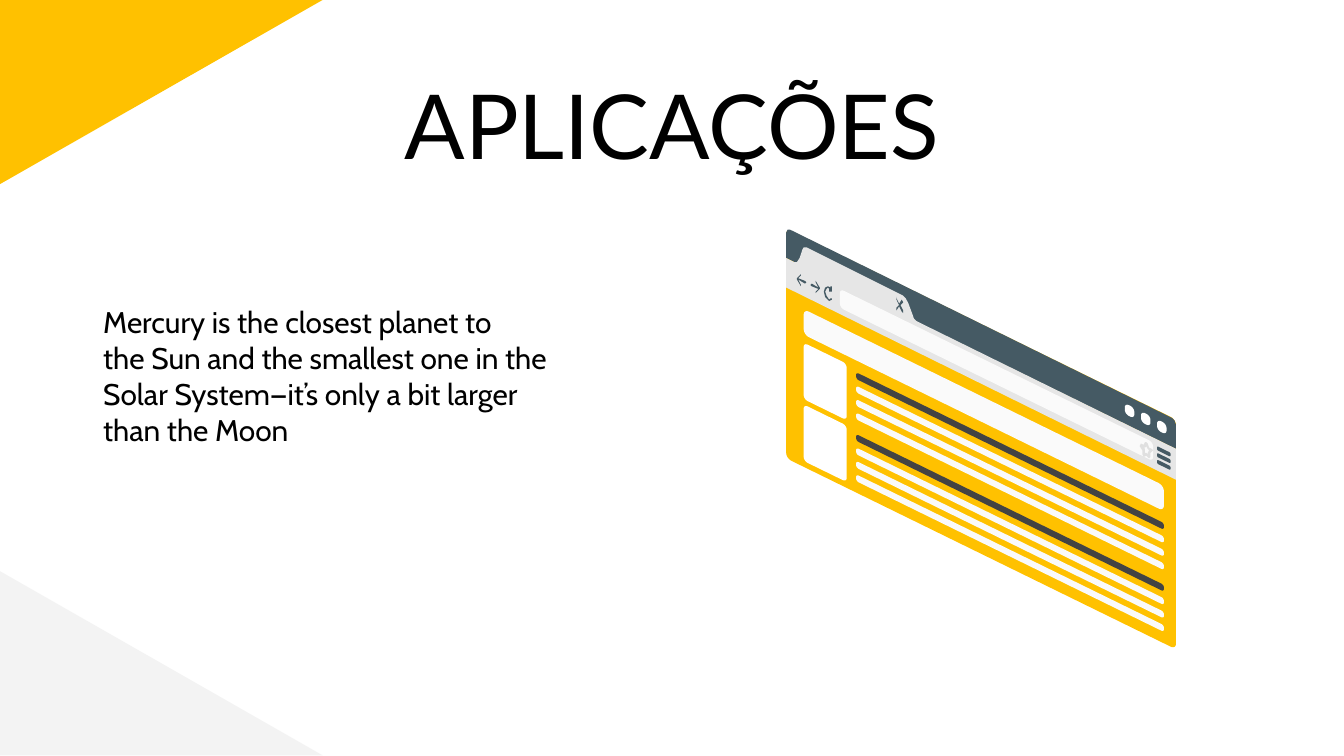
import math

from pptx import Presentation
from pptx.dml.color import RGBColor
from pptx.enum.shapes import MSO_SHAPE
from pptx.enum.text import MSO_ANCHOR, PP_ALIGN
from pptx.util import Inches, Pt

RIGHT_TRIANGLE = MSO_SHAPE.RIGHT_TRIANGLE
LEFT, CENTER = PP_ALIGN.LEFT, PP_ALIGN.CENTER
TOP = MSO_ANCHOR.TOP

YELLOW, SLATE, CHARCOAL = "FFC100", "455A64", "434343"
WHITE, OFF_WHITE = "FFFFFF", "FAFAFA"
PALE_GRAY, TAB_GRAY, STAR_GRAY = "F3F3F3", "E6E6E6", "E0E0E0"
SLOPE = 0.49
ARC_STEPS = 6

TITLE_BAR = [
    (5.85, 1.92), (5.85, 1.73), (5.86, 1.71), (5.88, 1.71), (8.72, 3.11),
    (8.74, 3.13), (8.75, 3.16), (8.75, 3.34),
]
TAB_AND_TOOLBAR = [
    (5.85, 1.92), (5.91, 1.95), (5.93, 1.95), (5.95, 1.92), (5.97, 1.86),
    (5.98, 1.84), (6.0, 1.84), (6.72, 2.2), (6.74, 2.22), (6.76, 2.26),
    (6.79, 2.34), (6.8, 2.37), (6.82, 2.39), (8.75, 3.34), (8.75, 3.57),
    (5.85, 2.14),
]
BACK_ARROW = [
    (5.96, 2.04), (5.93, 2.07), (5.93, 2.08), (5.96, 2.13), (5.96, 2.12),
    (5.94, 2.08), (5.99, 2.11), (6.0, 2.1), (5.99, 2.09), (5.94, 2.07),
    (5.96, 2.05),
]
RELOAD = [
    (6.16, 2.13), (6.14, 2.14), (6.13, 2.17), (6.14, 2.21), (6.17, 2.24),
    (6.19, 2.23), (6.19, 2.22), (6.18, 2.22), (6.17, 2.23), (6.15, 2.2),
    (6.14, 2.17), (6.15, 2.15), (6.16, 2.14), (6.17, 2.15), (6.17, 2.17),
    (6.19, 2.17), (6.19, 2.13), (6.18, 2.13), (6.18, 2.14),
]
CLOSE_MARK = [
    (6.67, 2.21), (6.67, 2.23), (6.69, 2.27), (6.67, 2.29), (6.67, 2.31),
    (6.69, 2.28), (6.71, 2.32), (6.72, 2.33), (6.72, 2.31), (6.7, 2.27),
    (6.72, 2.25), (6.71, 2.23), (6.69, 2.26), (6.67, 2.22),
]
STAR = [
    (8.53, 3.29), (8.52, 3.29), (8.51, 3.31), (8.49, 3.3), (8.48, 3.32),
    (8.5, 3.35), (8.5, 3.38), (8.51, 3.4), (8.53, 3.39), (8.55, 3.41),
    (8.56, 3.4), (8.56, 3.37), (8.58, 3.35), (8.57, 3.34), (8.55, 3.33),
    (8.54, 3.3),
]
STAR_HOLE = [
    (8.53, 3.32), (8.54, 3.34), (8.55, 3.35), (8.54, 3.37), (8.54, 3.38),
    (8.53, 3.37), (8.52, 3.37), (8.52, 3.34), (8.51, 3.33), (8.52, 3.33),
]


def color(value):
    return RGBColor.from_string(value)


def paint(shape, fill):
    shape.shadow.inherit = False
    shape.fill.solid()
    shape.fill.fore_color.rgb = color(fill)
    shape.line.fill.background()


def add_corner(slide, top, fill, mirrored=False):
    shape = slide.shapes.add_shape(
        RIGHT_TRIANGLE, Inches(0), Inches(top), Inches(2.4), Inches(1.37))
    paint(shape, fill)
    if mirrored:
        shape.rotation = 180
        shape.element.spPr.xfrm.set("flipH", "1")


def add_text(slide, box, paragraphs, size=16, font="Cabin", align=LEFT):
    frame = slide.shapes.add_textbox(*map(Inches, box)).text_frame
    frame.word_wrap = True
    frame.vertical_anchor = TOP
    frame.margin_left = frame.margin_right = Inches(0.1)
    frame.margin_top = frame.margin_bottom = Inches(0.1)
    frame.text = "\n".join(paragraphs)
    for paragraph in frame.paragraphs:
        paragraph.alignment = align
        for run in paragraph.runs:
            run.font.size = Pt(size)
            run.font.name = font
            run.font.color.rgb = color("000000")


def add_outline(slide, fill, *contours):
    builder = None
    for contour in contours:
        points = [(Inches(x), Inches(y)) for x, y in contour]
        if builder is None:
            builder = slide.shapes.build_freeform(*points[0], scale=1.0)
        else:
            builder.move_to(*points[0])
        builder.add_line_segments(points[1:], close=True)
    paint(builder.convert_to_shape(), fill)


def add_panel(slide, left, top, width, height, radius, fill):
    centers = [
        (width - radius, height - radius), (radius, height - radius),
        (radius, radius), (width - radius, radius),
    ]
    points = []
    for quarter, (center_x, center_y) in enumerate(centers):
        for step in range(ARC_STEPS + 1):
            angle = (quarter + step / ARC_STEPS) * math.pi / 2
            x = center_x + radius * math.cos(angle)
            y = center_y + radius * math.sin(angle)
            points.append((left + x, top + y + SLOPE * x))
    add_outline(slide, fill, points)


def add_page(slide):
    add_panel(slide, 5.85, 1.7, 2.9, 1.71, 0.04, YELLOW)
    add_panel(slide, 5.98, 2.3, 2.68, 0.19, 0.04, OFF_WHITE)
    for offset in (0, 0.46):
        add_panel(slide, 5.98, 2.55 + offset, 0.32, 0.42, 0.03, WHITE)
        for row in range(4):
            fill = OFF_WHITE if row else CHARCOAL
            add_panel(slide, 6.37, 2.77 + offset + 0.1 * row,
                      2.29, 0.05, 0.02, fill)


def add_browser_bar(slide):
    add_outline(slide, SLATE, TITLE_BAR)
    add_outline(slide, TAB_GRAY, TAB_AND_TOOLBAR)
    for index in range(3):
        add_panel(slide, 8.37 + 0.12 * index, 3 + 0.06 * index,
                  0.07, 0.08, 0.03, WHITE)
    forward_arrow = [(12.03 - x, 4.22 - y) for x, y in BACK_ARROW]
    for icon in (BACK_ARROW, forward_arrow, RELOAD, CLOSE_MARK):
        add_outline(slide, SLATE, icon)
    add_panel(slide, 6.25, 2.15, 2.33, 0.14, 0.03, OFF_WHITE)
    add_outline(slide, STAR_GRAY, STAR, STAR_HOLE)
    for index in range(3):
        add_panel(slide, 8.61, 3.32 + 0.05 * index, 0.1, 0.03, 0.01, SLATE)


def main():
    presentation = Presentation()
    presentation.slide_width = Inches(10)
    presentation.slide_height = Inches(10) * 9 // 16
    slide = presentation.slides.add_slide(presentation.slide_layouts[6])
    add_corner(slide, 0, YELLOW, mirrored=True)
    add_corner(slide, 4.25, PALE_GRAY)
    add_text(slide, (0.67, 2.16, 3.57, 2.12), [
        "Mercury is the closest planet to",
        "the Sun and the smallest one in the Solar System—it’s only a bit "
        "larger than the Moon",
    ])
    add_text(slide, (0.57, 0.42, 8.86, 0.63), ["APLICAÇÕES"],
             size=48, font="Lato", align=CENTER)
    add_page(slide)
    add_browser_bar(slide)
    presentation.save("out.pptx")


if __name__ == "__main__":
    main()
